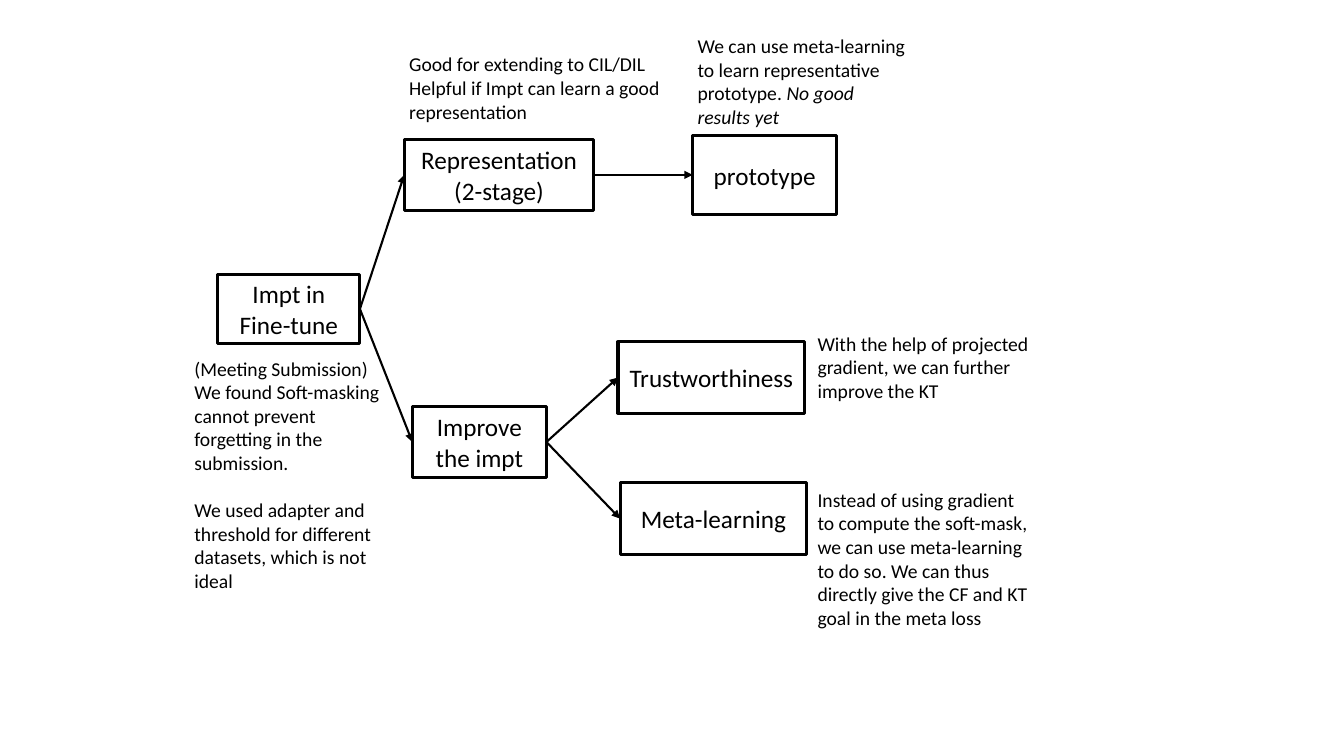
from lxml import etree
from pptx import Presentation, util as u
from pptx.dml.color import RGBColor
from pptx.enum import shapes, text
from pptx.oxml import ns

BLACK = RGBColor(0, 0, 0)
FONT = "Calibri"
BOX_SIZE, NOTE_SIZE = 18, 14
NOTE_LINE = 17  # height of one line of note text, in points
RIGHT, LEFT = 3, 1  # connection sites of a rectangle

# Inches: left, top, width, height
BOXES = {
    "Impt in Fine-tune": (2.16, 2.72, 1.41, 0.69),
    "Representation (2-stage)": (4.01, 1.38, 1.88, 0.71),
    "prototype": (6.87, 1.34, 1.43, 0.79),
    "Improve the impt": (4.09, 4.03, 1.33, 0.71),
    "Trustworthiness": (6.13, 3.39, 1.85, 0.71),
    "Meta-learning": (6.15, 4.79, 1.85, 0.71),
}
ARROWS = [
    ("Impt in Fine-tune", "Representation (2-stage)"),
    ("Impt in Fine-tune", "Improve the impt"),
    ("Representation (2-stage)", "prototype"),
    ("Improve the impt", "Trustworthiness"),
    ("Improve the impt", "Meta-learning"),
]
# Place, then paragraphs: (plain text, italic text, blank lines before)
NOTES = [
    ((1.83, 3.49, 2.06, 2.46), [
        ("(Meeting Submission)", "", 0),
        ("We found Soft-masking cannot prevent forgetting in the submission.", "", 0),
        ("We used adapter and threshold for different datasets, which is not ideal", "", 1),
    ]),
    ((3.96, 0.47, 2.92, 0.81), [
        ("Good for extending to CIL/DIL", "", 0),
        ("Helpful if Impt can learn a good representation", "", 0),
    ]),
    ((6.82, 0.29, 2.31, 1.04), [
        ("We can use meta-learning to learn representative prototype. ",
         "No good results yet", 0),
    ]),
    ((8.01, 3.24, 2.31, 0.81), [
        ("With the help of projected gradient, we can further improve the KT", "", 0),
    ]),
    ((8.01, 4.79, 2.31, 1.51), [
        ("Instead of using gradient to compute the soft-mask, we can use "
         "meta-learning to do so. We can thus directly give the CF and KT "
         "goal in the meta loss", "", 0),
    ]),
]


def inches(place):
    """Convert a tuple of inches to lengths."""
    return [u.Inches(value) for value in place]


def set_font(paragraph, size):
    """Give a paragraph the slide's typeface and colour."""
    paragraph.font.name = FONT
    paragraph.font.size = u.Pt(size)
    paragraph.font.color.rgb = BLACK


def add_box(slide, label, place):
    """Add an outlined box with a centred label."""
    shape = slide.shapes.add_shape(shapes.MSO_SHAPE.RECTANGLE, *inches(place))
    shape.shadow.inherit = False
    shape.fill.background()
    shape.line.color.rgb = BLACK
    shape.line.width = u.Pt(2.25)
    frame = shape.text_frame
    frame.word_wrap = True
    frame.vertical_anchor = text.MSO_ANCHOR.MIDDLE
    paragraph = frame.paragraphs[0]
    paragraph.text = label
    paragraph.alignment = text.PP_ALIGN.CENTER
    set_font(paragraph, BOX_SIZE)
    return shape


def add_arrow(slide, source, target):
    """Join the right side of one box to the left side of another."""
    connector = slide.shapes.add_connector(shapes.MSO_CONNECTOR.STRAIGHT, 0, 0, 0, 0)
    connector.begin_connect(source, RIGHT)
    connector.end_connect(target, LEFT)
    connector.line.color.rgb = BLACK
    connector.line.width = u.Pt(1.5)
    head = etree.SubElement(connector.line._get_or_add_ln(), ns.qn("a:tailEnd"))
    head.set("type", "triangle")
    etree.SubElement(connector._element.spPr, ns.qn("a:effectLst"))


def add_note(slide, place, paragraphs):
    """Add a wrapped note, with italic endings where given."""
    frame = slide.shapes.add_textbox(*inches(place)).text_frame
    frame.word_wrap = True
    for index, (plain, italic, gap) in enumerate(paragraphs):
        paragraph = frame.add_paragraph() if index else frame.paragraphs[0]
        paragraph.space_before = u.Pt(gap * NOTE_LINE)
        set_font(paragraph, NOTE_SIZE)
        paragraph.add_run().text = plain
        if italic:
            run = paragraph.add_run()
            run.text = italic
            run.font.italic = True


presentation = Presentation()
presentation.slide_width, presentation.slide_height = inches((13.33, 7.5))
slide = presentation.slides.add_slide(presentation.slide_layouts[6])

boxes = {label: add_box(slide, label, place) for label, place in BOXES.items()}
for source, target in ARROWS:
    add_arrow(slide, boxes[source], boxes[target])
for place, paragraphs in NOTES:
    add_note(slide, place, paragraphs)

presentation.save("out.pptx")
